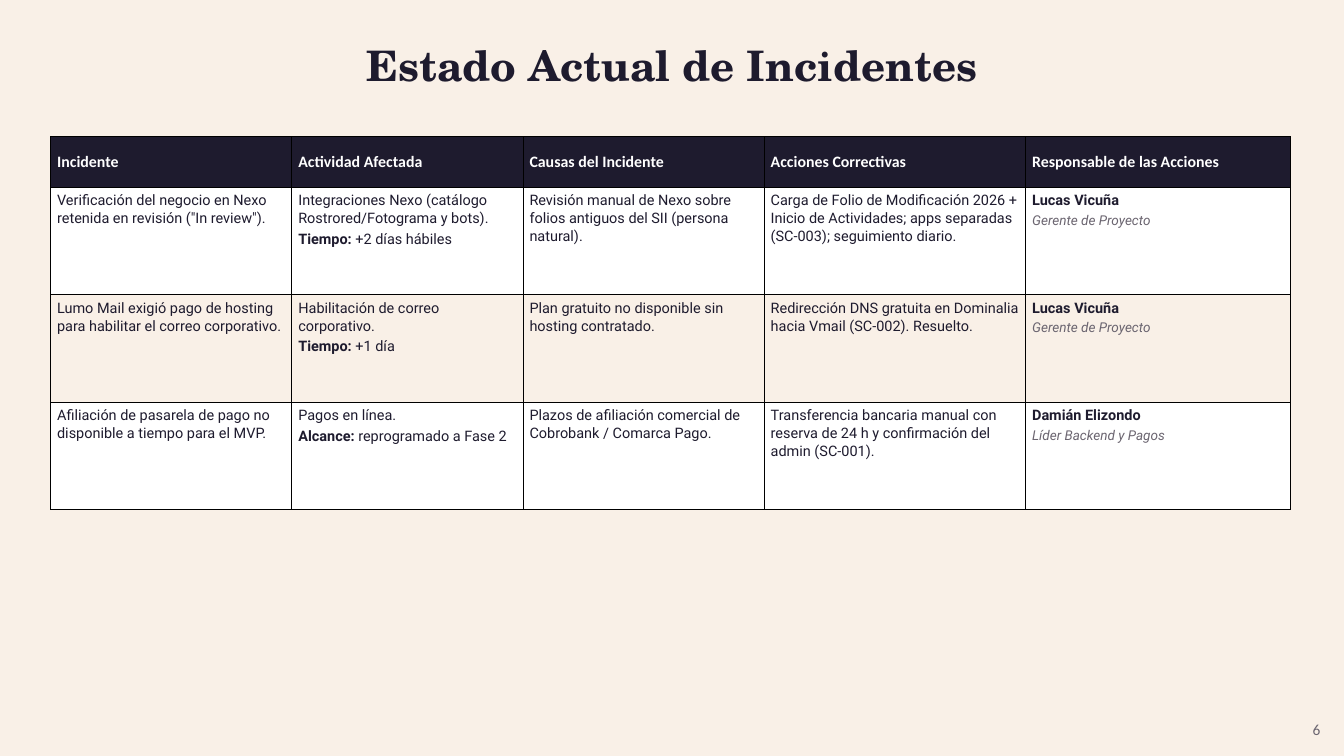
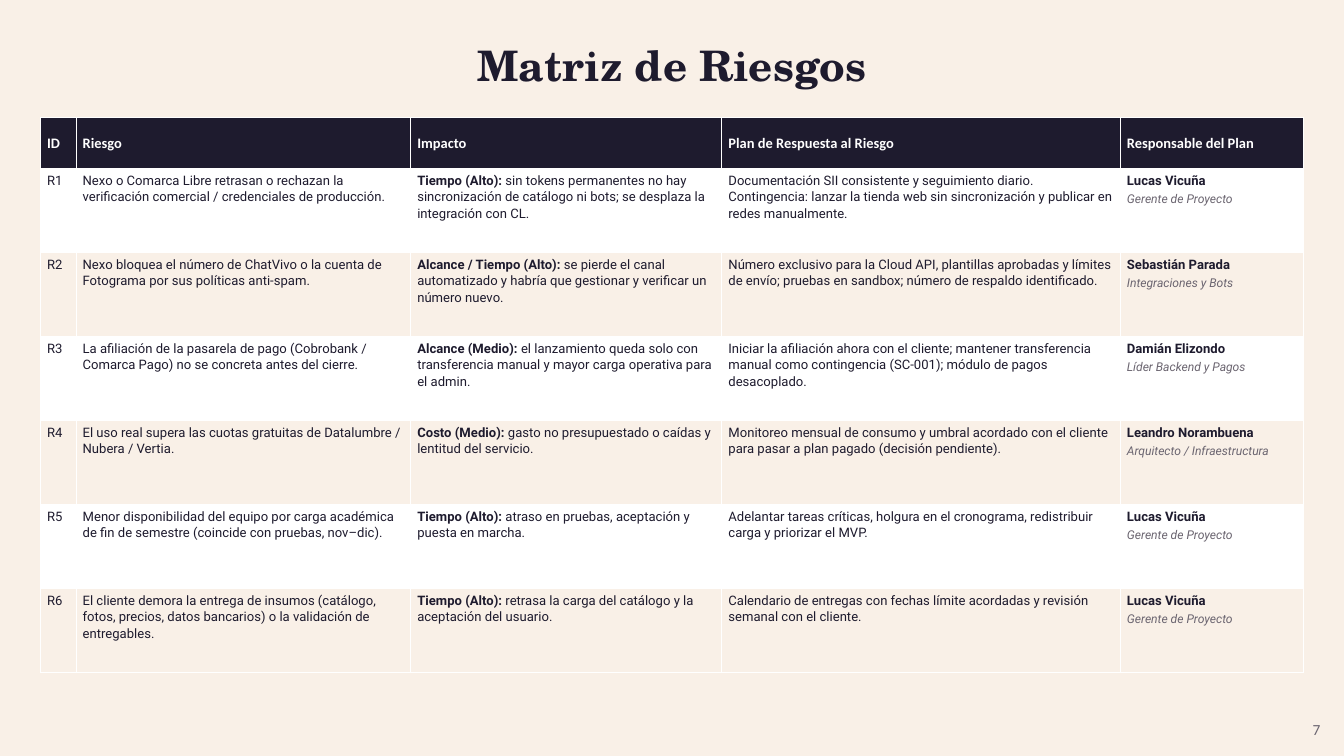
from dataclasses import dataclass

from lxml import etree
from pptx import Presentation
from pptx.dml.color import RGBColor
from pptx.enum.text import MSO_ANCHOR, MSO_AUTO_SIZE, PP_ALIGN
from pptx.oxml.ns import qn
from pptx.util import Inches, Pt

TOP, MIDDLE = MSO_ANCHOR.TOP, MSO_ANCHOR.MIDDLE
CENTER, RIGHT = PP_ALIGN.CENTER, PP_ALIGN.RIGHT
FIT_SHAPE = MSO_AUTO_SIZE.SHAPE_TO_FIT_TEXT
TITLE_ONLY = 5


@dataclass(frozen=True)
class Theme:
    ink: str = "1E1B2E"
    cream: str = "F9F0E7"
    white: str = "FFFFFF"
    gray: str = "6B6570"
    black: str = "000000"
    title_font: str = "TeX Gyre Schola"
    label_font: str = "Calibri"
    body_font: str = "Roboto"
    title_size: float = 45
    title_spacing: float = 58.4
    number_size: float = 16.5
    number_spacing: float = 21.4


@dataclass(frozen=True)
class TableStyle:
    header_size: float
    body_size: float
    role_size: float
    border_color: str
    border_width: float


THEME = Theme()
INCIDENT_STYLE = TableStyle(17, 15.5, 14.5, THEME.black, 0.37)
RISK_STYLE = TableStyle(15.5, 14, 13, THEME.white, 1)

TITLE_BOX = (0.83, 0.52, 18.34, 1.15)
NUMBER_BOX = (18.92, 10.69, 0.73, 0.39)
HEADER_HEIGHT = 0.75

LUCAS, SEBASTIAN = "Lucas Vicuña", "Sebastián Parada"
DAMIAN, LEANDRO = "Damián Elizondo", "Leandro Norambuena"
ROLES = {
    LUCAS: "Gerente de Proyecto",
    SEBASTIAN: "Integraciones y Bots",
    DAMIAN: "Líder Backend y Pagos",
    LEANDRO: "Arquitecto / Infraestructura",
}

INCIDENT_HEADERS = ["Incidente", "Actividad Afectada", "Causas del Incidente",
                    "Acciones Correctivas", "Responsable de las Acciones"]
INCIDENTS = [
    ['Verificación del negocio en Nexo retenida en revisión ("In review").',
     "Integraciones Nexo (catálogo Rostrored/Fotograma y bots).\nTiempo: |+2 días hábiles",
     "Revisión manual de Nexo sobre folios antiguos del SII (persona natural).",
     "Carga de Folio de Modificación 2026 + Inicio de Actividades; apps separadas "
     "(SC-003); seguimiento diario.",
     LUCAS],
    ["Lumo Mail exigió pago de hosting para habilitar el correo corporativo.",
     "Habilitación de correo corporativo.\nTiempo: |+1 día",
     "Plan gratuito no disponible sin hosting contratado.",
     "Redirección DNS gratuita en Dominalia hacia Vmail (SC-002). Resuelto.",
     LUCAS],
    ["Afiliación de pasarela de pago no disponible a tiempo para el MVP.",
     "Pagos en línea.\nAlcance: |reprogramado a Fase 2",
     "Plazos de afiliación comercial de Cobrobank / Comarca Pago.",
     "Transferencia bancaria manual con reserva de 24 h y confirmación del admin (SC-001).",
     DAMIAN],
]

RISK_HEADERS = ["ID", "Riesgo", "Impacto", "Plan de Respuesta al Riesgo",
                "Responsable del Plan"]
RISKS = [
    ["Nexo o Comarca Libre retrasan o rechazan la verificación comercial / "
     "credenciales de producción.",
     "Tiempo (Alto): |sin tokens permanentes no hay sincronización de catálogo ni bots; "
     "se desplaza la integración con CL.",
     "Documentación SII consistente y seguimiento diario. Contingencia: lanzar la tienda "
     "web sin sincronización y publicar en redes manualmente.",
     LUCAS],
    ["Nexo bloquea el número de ChatVivo o la cuenta de Fotograma por sus políticas "
     "anti-spam.",
     "Alcance / Tiempo (Alto): |se pierde el canal automatizado y habría que gestionar y "
     "verificar un número nuevo.",
     "Número exclusivo para la Cloud API, plantillas aprobadas y límites de envío; "
     "pruebas en sandbox; número de respaldo identificado.",
     SEBASTIAN],
    ["La afiliación de la pasarela de pago (Cobrobank / Comarca Pago) no se concreta "
     "antes del cierre.",
     "Alcance (Medio): |el lanzamiento queda solo con transferencia manual y mayor carga "
     "operativa para el admin.",
     "Iniciar la afiliación ahora con el cliente; mantener transferencia manual como "
     "contingencia (SC-001); módulo de pagos desacoplado.",
     DAMIAN],
    ["El uso real supera las cuotas gratuitas de Datalumbre / Nubera / Vertia.",
     "Costo (Medio): |gasto no presupuestado o caídas y lentitud del servicio.",
     "Monitoreo mensual de consumo y umbral acordado con el cliente para pasar a plan "
     "pagado (decisión pendiente).",
     LEANDRO],
    ["Menor disponibilidad del equipo por carga académica de fin de semestre (coincide "
     "con pruebas, nov–dic).",
     "Tiempo (Alto): |atraso en pruebas, aceptación y puesta en marcha.",
     "Adelantar tareas críticas, holgura en el cronograma, redistribuir carga y priorizar "
     "el MVP.",
     LUCAS],
    ["El cliente demora la entrega de insumos (catálogo, fotos, precios, datos bancarios) "
     "o la validación de entregables.",
     "Tiempo (Alto): |retrasa la carga del catálogo y la aceptación del usuario.",
     "Calendario de entregas con fechas límite acordadas y revisión semanal con el "
     "cliente.",
     LUCAS],
]


def set_font(font, name, size, color, bold=False, italic=False):
    font.name = name
    font.size = Pt(size)
    font.color.rgb = RGBColor.from_string(color)
    font.bold = bold
    font.italic = italic


def write_line(frame, text, align, spacing):
    frame.margin_left = frame.margin_right = 0
    frame.margin_top = frame.margin_bottom = 0
    frame.word_wrap = True
    frame.auto_size = FIT_SHAPE
    frame.vertical_anchor = TOP
    frame.text = text
    para = frame.paragraphs[0]
    para.alignment = align
    para.line_spacing = Pt(spacing)
    return para.font


def add_title(page, text, box):
    title = page.shapes.title
    title.left, title.top, title.width, title.height = map(Inches, box)
    font = write_line(title.text_frame, text, CENTER, THEME.title_spacing)
    set_font(font, THEME.title_font, THEME.title_size, THEME.ink, bold=True)


def add_page_number(page, number, box):
    label = page.shapes.add_textbox(*map(Inches, box))
    font = write_line(label.text_frame, str(number), RIGHT, THEME.number_spacing)
    set_font(font, THEME.label_font, THEME.number_size, THEME.gray)


def add_borders(cell, color, width):
    properties = cell._tc.get_or_add_tcPr()
    for side in ("lnL", "lnR", "lnT", "lnB"):
        line = etree.SubElement(properties, qn(f"a:{side}"), w=str(Pt(width)))
        fill = etree.SubElement(line, qn("a:solidFill"))
        etree.SubElement(fill, qn("a:srgbClr"), val=color)


def prepare_cell(cell, fill, anchor, style):
    cell.margin_left = cell.margin_right = Inches(0.1)
    cell.margin_top = cell.margin_bottom = Inches(0.07)
    cell.vertical_anchor = anchor
    add_borders(cell, style.border_color, style.border_width)
    cell.fill.solid()
    cell.fill.fore_color.rgb = RGBColor.from_string(fill)


def write_cell(cell, text, **font):
    frame = cell.text_frame
    for index, line in enumerate(text.split("\n")):
        para = frame.paragraphs[0] if index == 0 else frame.add_paragraph()
        para.line_spacing = 1.05
        para.space_after = Pt(3)
        label, divider, rest = line.partition("|")
        span = para.add_run()
        span.text = label
        if divider:
            span.font.bold = True
            para.add_run().text = rest
        set_font(para.font, **font)


def write_owner(cell, owner, style):
    write_cell(cell, f"{owner}\n{ROLES[owner]}",
               name=THEME.body_font, size=style.body_size, color=THEME.ink, bold=True)
    set_font(cell.text_frame.paragraphs[1].font, THEME.body_font, style.role_size,
             THEME.gray, italic=True)


def add_grid(page, left, top, widths, row_height, headers, rows, style):
    height = HEADER_HEIGHT + row_height * len(rows)
    frame = page.shapes.add_table(
        len(rows) + 1, len(headers),
        *map(Inches, (left, top, sum(widths), height)))
    table = frame.table
    table.first_row = table.horz_banding = False
    for column, width in zip(table.columns, widths):
        column.width = Inches(width)
    for index, row in enumerate(table.rows):
        row.height = Inches(row_height if index else HEADER_HEIGHT)

    for column, text in enumerate(headers):
        cell = table.cell(0, column)
        prepare_cell(cell, THEME.ink, MIDDLE, style)
        write_cell(cell, text, name=THEME.label_font, size=style.header_size,
                   color=THEME.white, bold=True)
    for index, values in enumerate(rows, start=1):
        fill = THEME.white if index % 2 else THEME.cream
        for column, text in enumerate(values):
            cell = table.cell(index, column)
            prepare_cell(cell, fill, TOP, style)
            if text in ROLES:
                write_owner(cell, text, style)
            else:
                write_cell(cell, text, name=THEME.body_font, size=style.body_size,
                           color=THEME.ink)


def add_page(deck, title, number):
    page = deck.slides.add_slide(deck.slide_layouts[TITLE_ONLY])
    page.background.fill.solid()
    page.background.fill.fore_color.rgb = RGBColor.from_string(THEME.cream)
    add_title(page, title, TITLE_BOX)
    add_page_number(page, number, NUMBER_BOX)
    return page


def add_incident_page(deck):
    page = add_page(deck, "Estado Actual de Incidentes", 6)
    add_grid(page, 0.75, 2.03, [3.59, 3.44, 3.59, 3.89, 3.94], 1.6,
             INCIDENT_HEADERS, INCIDENTS, INCIDENT_STYLE)


def add_risk_page(deck):
    page = add_page(deck, "Matriz de Riesgos", 7)
    rows = [[f"R{index}", *risk] for index, risk in enumerate(RISKS, start=1)]
    add_grid(page, 0.6, 1.75, [0.53, 4.98, 4.63, 5.93, 2.73], 1.25,
             RISK_HEADERS, rows, RISK_STYLE)


def main():
    deck = Presentation()
    deck.slide_width = Inches(20)
    deck.slide_height = Inches(11.25)
    add_incident_page(deck)
    add_risk_page(deck)
    deck.save("out.pptx")


if __name__ == "__main__":
    main()
